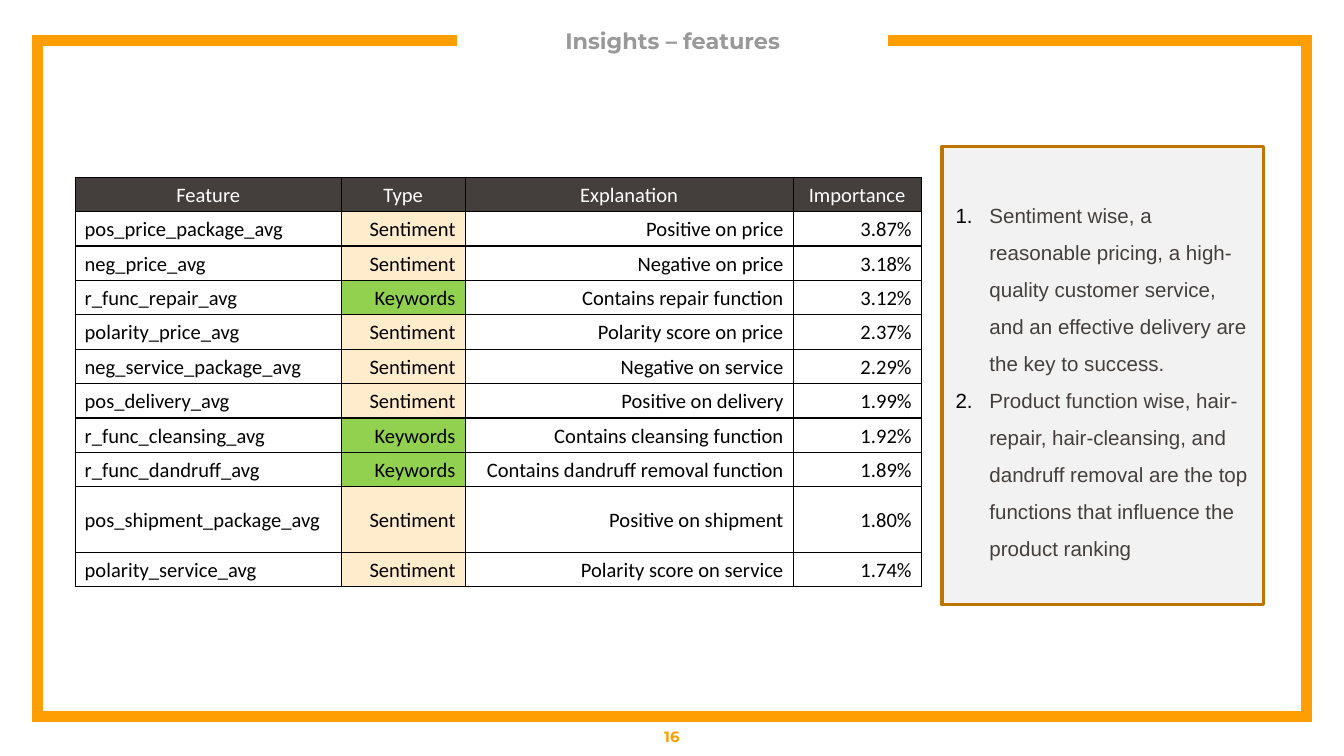
from lxml import etree
from pptx import Presentation
from pptx.dml.color import RGBColor
from pptx.enum.shapes import MSO_SHAPE
from pptx.enum.text import MSO_ANCHOR, PP_ALIGN
from pptx.oxml import parse_xml
from pptx.oxml.ns import nsdecls, qn
from pptx.util import Cm, Pt

RECT = MSO_SHAPE.RECTANGLE
MIDDLE = MSO_ANCHOR.MIDDLE
LEFT, CENTER, RIGHT = PP_ALIGN.LEFT, PP_ALIGN.CENTER, PP_ALIGN.RIGHT
ORANGE, DARK, BLACK = "FF9E00", "443F3D", "000000"
TINTS = {"Sentiment": "FFECCC", "Keywords": "92D050"}


def color(code):
    return RGBColor.from_string(code)


def style(para, font, size, code, bold=False, align=LEFT):
    para.alignment = align
    for run in para.runs:
        run.font.name = font
        run.font.size = Pt(size)
        run.font.bold = bold
        run.font.color.rgb = color(code)


deck = Presentation()
deck.slide_width, deck.slide_height = Cm(25.4), Cm(14.29)
slide = deck.slides.add_slide(deck.slide_layouts[5])
shapes = slide.shapes

# Frame, open at the top around the title
pen = shapes.build_freeform(Cm(8.64), Cm(0.76))
corners = [(0.71, 0.76), (0.71, 13.54), (24.69, 13.54), (24.69, 0.76), (16.79, 0.76)]
pen.add_line_segments([(Cm(x), Cm(y)) for x, y in corners], close=False)
frame = pen.convert_to_shape()
frame.shadow.inherit = False
frame.fill.background()
frame.line.color.rgb = color(ORANGE)
frame.line.width = Pt(6)
etree.SubElement(frame.line._get_or_add_ln(), qn("a:miter"), lim="800000")

# Title
title = shapes.title
title.left, title.top, title.width, title.height = Cm(9.02), Cm(0.28), Cm(7.39), Cm(0.99)
text = title.text_frame
text.text = "Insights – features"
text.vertical_anchor = MIDDLE
text.margin_left = text.margin_right = text.margin_top = text.margin_bottom = 0
style(text.paragraphs[0], "Montserrat", 12, "999999", True, CENTER)

# Page number
page = shapes.add_textbox(0, Cm(13.54), Cm(25.4), Cm(0.76))
text = page.text_frame
text.word_wrap = True
text.vertical_anchor = MIDDLE
text.margin_top = text.margin_bottom = Cm(0.25)
text.text = "16"
style(text.paragraphs[0], "Montserrat", 8, ORANGE, True, CENTER)

# Feature table
rows = [
    ("Feature", "Type", "Explanation", "Importance"),
    ("pos_price_package_avg", "Sentiment", "Positive on price", "3.87%"),
    ("neg_price_avg", "Sentiment", "Negative on price", "3.18%"),
    ("r_func_repair_avg", "Keywords", "Contains repair function", "3.12%"),
    ("polarity_price_avg", "Sentiment", "Polarity score on price", "2.37%"),
    ("neg_service_package_avg", "Sentiment", "Negative on service", "2.29%"),
    ("pos_delivery_avg", "Sentiment", "Positive on delivery", "1.99%"),
    ("r_func_cleansing_avg", "Keywords", "Contains cleansing function", "1.92%"),
    ("r_func_dandruff_avg", "Keywords", "Contains dandruff removal function", "1.89%"),
    ("pos_shipment_package_avg", "Sentiment", "Positive on shipment", "1.80%"),
    ("polarity_service_avg", "Sentiment", "Polarity score on service", "1.74%"),
]
widths = [5.03, 2.34, 6.2, 2.42]
table = shapes.add_table(len(rows), len(widths), Cm(1.42), Cm(3.35), Cm(15.99), Cm(7.74)).table
table.horz_banding = False
for col, width in zip(table.columns, widths):
    col.width = Cm(width)
for r, row in enumerate(rows):
    tall = row[0] == "pos_shipment_package_avg"
    table.rows[r].height = Cm(1.24 if tall else 0.65)
    for c, word in enumerate(row):
        cell = table.cell(r, c)
        cell.text = word
        cell.vertical_anchor = MIDDLE
        cell.margin_left = cell.margin_right = Cm(0.18)
        cell.margin_top = cell.margin_bottom = 0
        para = cell.text_frame.paragraphs[0]
        para.line_spacing = 1.07
        para.space_after = Pt(8)
        align = CENTER if r == 0 else LEFT if c == 0 else RIGHT
        style(para, "Calibri", 11, BLACK if r else "FFFFFF", align=align)
        for side in ("lnL", "lnR", "lnT", "lnB"):
            cell._tc.get_or_add_tcPr().append(parse_xml(
                f'<a:{side} {nsdecls("a")} w="9525"><a:solidFill>'
                f'<a:srgbClr val="{BLACK}"/></a:solidFill></a:{side}>'))
        tint = TINTS.get(word) if r else DARK
        if tint:
            cell.fill.solid()
            cell.fill.fore_color.rgb = color(tint)
        else:
            cell.fill.background()

# Findings box with a numbered list
box = shapes.add_shape(RECT, Cm(17.81), Cm(2.77), Cm(6.07), Cm(8.66))
box.shadow.inherit = False
box.fill.solid()
box.fill.fore_color.rgb = color("F2F2F2")
box.line.color.rgb = color("BD7500")
box.line.width = Pt(2)
text = box.text_frame
text.word_wrap = True
text.vertical_anchor = MIDDLE
text.text = "\n".join([
    "Sentiment wise, a reasonable pricing, a high-quality customer service, "
    "and an effective delivery are the key to success.",
    "Product function wise, hair-repair, hair-cleansing, and dandruff removal "
    "are the top functions that influence the product ranking",
])
for para in text.paragraphs:
    style(para, "Arial", 11, DARK)
    para.line_spacing = 1.5
    props = para._p.get_or_add_pPr()
    props.set("marL", str(Cm(0.64)))
    props.set("indent", str(-Cm(0.64)))
    tone = etree.SubElement(props, qn("a:buClr"))
    etree.SubElement(tone, qn("a:srgbClr"), val=BLACK)
    etree.SubElement(props, qn("a:buFont"), typeface="Arial")
    etree.SubElement(props, qn("a:buAutoNum"), type="arabicPeriod")

deck.save("out.pptx")
